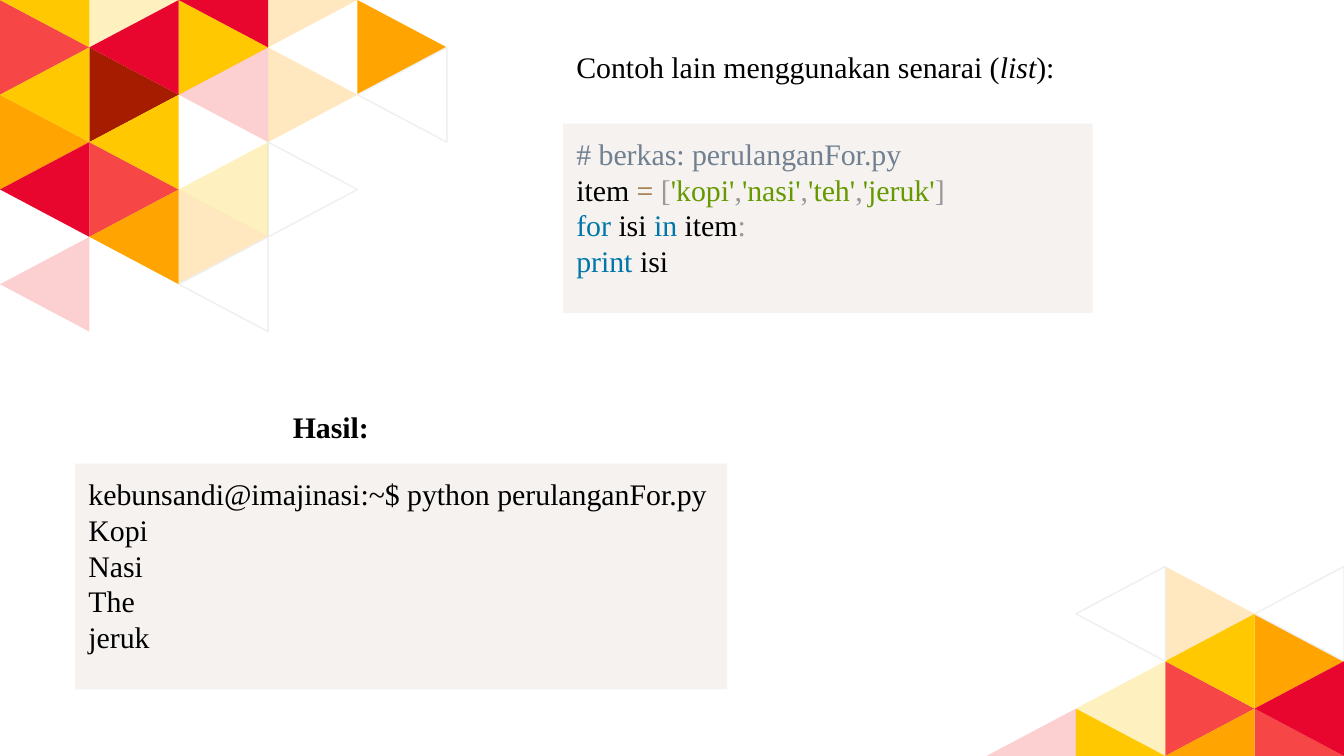
from typing import NamedTuple

from pptx import Presentation
from pptx.dml.color import RGBColor
from pptx.enum.shapes import MSO_SHAPE
from pptx.enum.text import MSO_ANCHOR, MSO_AUTO_SIZE, PP_ALIGN
from pptx.oxml.ns import qn
from pptx.shapes.autoshape import Shape
from pptx.shapes.shapetree import SlideShapes
from pptx.util import Emu, Pt
from lxml.etree import SubElement

PX = 2286  # EMU per px, 400 px to the inch
SLIDE_W, SLIDE_H = 4000, 2250
COL_W, ROW_H = 266, 141
FONT, FONT_SIZE = "Times New Roman", Pt(16)
PALE_ALPHA = 25000

COLORS = {
    "orange": "FFA400", "yellow": "FFC800", "coral": "F64646",
    "red": "E8062F", "maroon": "A61C00", "white": "FFFFFF",
    "outline": "EFEFEF", "panel": "F5F2F0", "text": "000000",
    "comment": "708090", "operator": "9A6E3A", "punctuation": "999999",
    "string": "669900", "keyword": "0077AA",
}


class Triangle(NamedTuple):
    col: int
    row: int
    points: str
    color: str
    pale: bool = False


class Mosaic(NamedTuple):
    left: int
    top: int
    rows: int
    triangles: list[Triangle]


class Token(NamedTuple):
    text: str
    color: str = "text"
    bold: bool = False
    italic: bool = False


class Block(NamedTuple):
    left: int
    top: int
    width: int
    height: int
    lines: list[list[Token]]
    wrap: bool = False


BOTTOM_MOSAIC = Mosaic(SLIDE_W - 4 * COL_W, SLIDE_H - 4 * ROW_H, 4, [
    Triangle(2, 0, "right", "orange", True),
    Triangle(3, 1, "right", "orange"),
    Triangle(1, 3, "right", "yellow"),
    Triangle(2, 2, "right", "coral"),
    Triangle(3, 3, "right", "coral"),
    Triangle(1, 0, "left", "white"),
    Triangle(3, 0, "left", "white"),
    Triangle(2, 1, "left", "yellow"),
    Triangle(1, 2, "left", "yellow", True),
    Triangle(2, 3, "left", "orange"),
    Triangle(3, 2, "left", "red"),
    Triangle(0, 3, "left", "coral", True),
])

TOP_MOSAIC = Mosaic(0, 0, 7, [
    Triangle(0, 2, "right", "orange"),
    Triangle(1, 1, "right", "maroon"),
    Triangle(1, 3, "right", "coral"),
    Triangle(3, 1, "right", "orange", True),
    Triangle(2, 4, "right", "orange", True),
    Triangle(3, 3, "right", "white"),
    Triangle(0, 0, "right", "coral"),
    Triangle(1, -1, "right", "yellow", True),
    Triangle(2, 0, "right", "yellow"),
    Triangle(3, -1, "right", "orange", True),
    Triangle(4, 0, "right", "orange"),
    Triangle(0, 1, "left", "yellow"),
    Triangle(1, 2, "left", "yellow"),
    Triangle(0, 3, "left", "red"),
    Triangle(1, 4, "left", "orange"),
    Triangle(0, 5, "left", "coral", True),
    Triangle(2, 1, "left", "coral", True),
    Triangle(2, 3, "left", "yellow", True),
    Triangle(2, 5, "left", "white"),
    Triangle(4, 1, "left", "white"),
    Triangle(0, -1, "left", "yellow"),
    Triangle(1, 0, "left", "red"),
    Triangle(2, -1, "left", "red"),
])

COMMA = Token(",", "punctuation")
INTRO = Block(1676, 124, 1528, 148, [
    [Token("Contoh lain menggunakan senarai ("), Token("list", italic=True), Token("):")],
])
CODE = Block(1676, 368, 1576, 564, [
    [Token("# berkas: perulanganFor.py", "comment")],
    [Token("item "), Token("= ", "operator"), Token("[", "punctuation"),
     Token("'kopi'", "string"), COMMA, Token("'nasi'", "string"), COMMA,
     Token("'teh'", "string"), COMMA, Token("'jeruk'", "string"),
     Token("]", "punctuation")],
    [Token("for ", "keyword"), Token("isi "), Token("in", "keyword"),
     Token(" item"), Token(":", "punctuation")],
    [Token("print ", "keyword"), Token("isi")],
], wrap=True)
RESULT_HEADING = Block(832, 1196, 312, 148, [[Token("Hasil:", bold=True)]])
RESULT = Block(224, 1380, 1940, 672, [
    [Token(line)] for line in (
        "kebunsandi@imajinasi:~$ python perulanganFor.py", "Kopi", "Nasi", "The", "jeruk")
])


def rgb(name: str) -> RGBColor:
    return RGBColor.from_string(COLORS[name])


def paint(shape: Shape, color: str) -> None:
    shape.shadow.inherit = False
    shape.fill.solid()
    shape.fill.fore_color.rgb = rgb(color)
    shape.line.fill.background()


def draw_triangle(shapes: SlideShapes, mosaic: Mosaic, triangle: Triangle) -> None:
    """Draw one sideways triangle, cut off at the first and last row of its mosaic."""
    base, tip = triangle.col, triangle.col + 1
    if triangle.points == "left":
        base, tip = tip, base
    corners = [
        (mosaic.left + col * COL_W,
         mosaic.top + min(max(row, 0), mosaic.rows) * ROW_H)
        for col, row in ((base, triangle.row), (tip, triangle.row + 1),
                         (base, triangle.row + 2))
    ]
    outline = shapes.build_freeform(*corners[0], scale=PX)
    outline.add_line_segments(corners[1:], close=True)
    shape = outline.convert_to_shape()
    paint(shape, triangle.color)
    if triangle.color == "white":
        shape.line.color.rgb = rgb("outline")
        shape.line.width = Pt(0.75)
    if triangle.pale:
        fill_color = next(shape.element.spPr.iter(qn("a:srgbClr")))
        SubElement(fill_color, qn("a:alpha"), val=str(PALE_ALPHA))


def write_lines(shape: Shape, block: Block) -> None:
    frame = shape.text_frame
    frame.word_wrap = block.wrap
    frame.auto_size = MSO_AUTO_SIZE.SHAPE_TO_FIT_TEXT
    for index, tokens in enumerate(block.lines):
        paragraph = frame.add_paragraph() if index else frame.paragraphs[0]
        paragraph.alignment = PP_ALIGN.LEFT
        for token in tokens:
            run = paragraph.add_run()
            run.text = token.text
            run.font.name, run.font.size = FONT, FONT_SIZE
            run.font.bold, run.font.italic = token.bold, token.italic
            run.font.color.rgb = rgb(token.color)


def bounds(block: Block) -> list[Emu]:
    return [Emu(length * PX) for length in block[:4]]


def draw_label(shapes: SlideShapes, block: Block) -> None:
    write_lines(shapes.add_textbox(*bounds(block)), block)


def draw_panel(shapes: SlideShapes, block: Block) -> None:
    panel = shapes.add_shape(MSO_SHAPE.RECTANGLE, *bounds(block))
    paint(panel, "panel")
    frame = panel.text_frame
    frame.vertical_anchor = MSO_ANCHOR.MIDDLE
    frame.margin_left = frame.margin_right = Emu(40 * PX)
    frame.margin_top, frame.margin_bottom = Emu(32 * PX), Emu(100 * PX)
    write_lines(panel, block)


def main() -> None:
    deck = Presentation()
    deck.slide_width, deck.slide_height = Emu(SLIDE_W * PX), Emu(SLIDE_H * PX)
    shapes = deck.slides.add_slide(deck.slide_layouts[6]).shapes
    for mosaic in (BOTTOM_MOSAIC, TOP_MOSAIC):
        for triangle in mosaic.triangles:
            draw_triangle(shapes, mosaic, triangle)
    draw_label(shapes, INTRO)
    draw_panel(shapes, CODE)
    draw_label(shapes, RESULT_HEADING)
    draw_panel(shapes, RESULT)
    deck.save("out.pptx")


if __name__ == "__main__":
    main()
